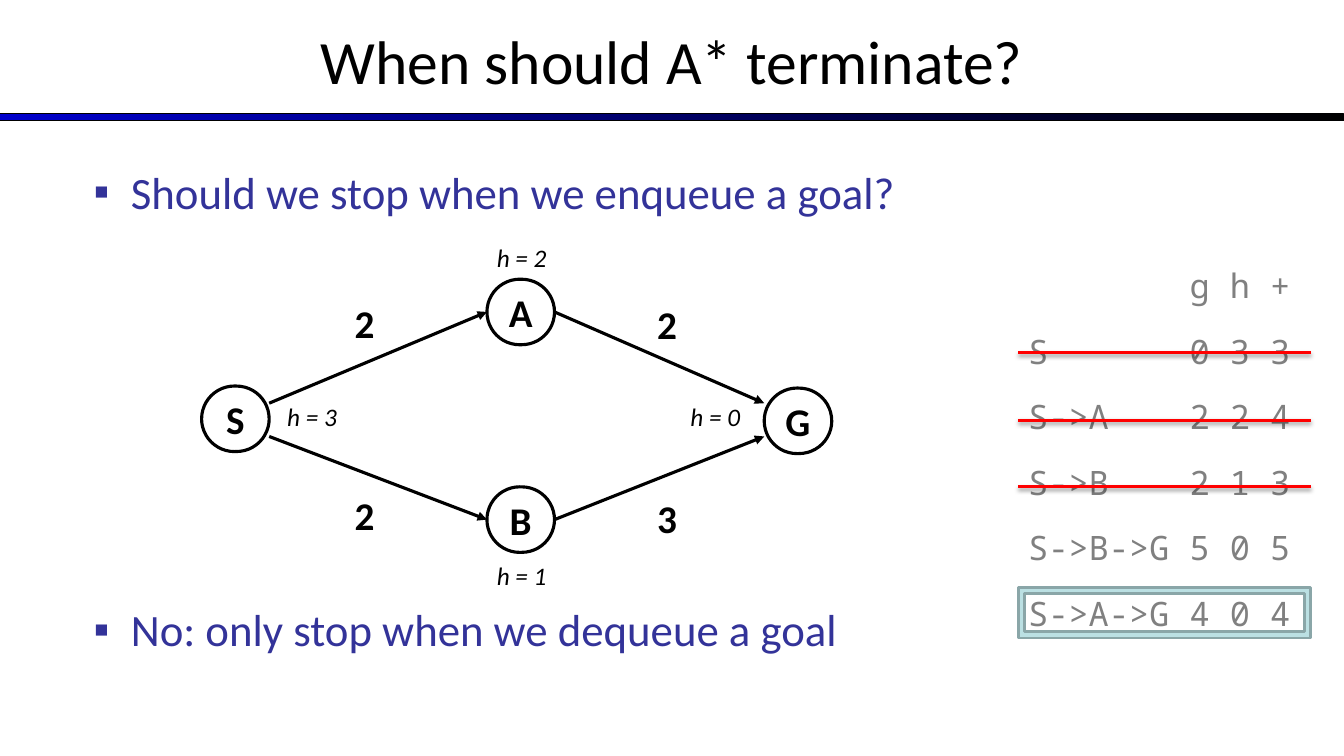
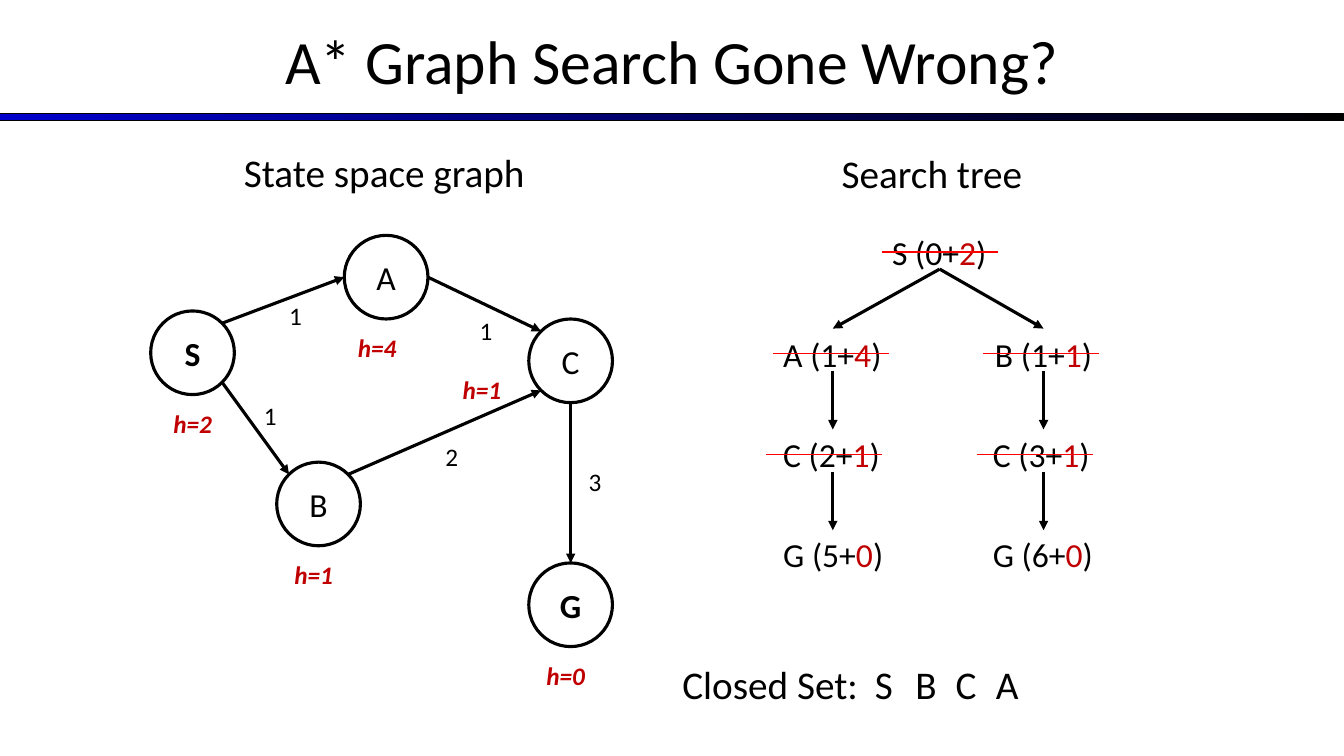
from math import hypot

from lxml import etree
from pptx import Presentation
from pptx.dml.color import RGBColor
from pptx.enum.shapes import MSO_CONNECTOR, MSO_SHAPE
from pptx.enum.text import MSO_ANCHOR as ANCHOR, PP_ALIGN as ALIGN
from pptx.oxml.ns import qn
from pptx.util import Inches, Pt

# Shared style
BLACK, WHITE, RED, DARK_RED = "000000", "FFFFFF", "FF0000", "C00000"
INDIGO, GREY, BAND_BLUE = "333399", "808080", "0000CC"
PALE_TEAL, TEAL_LINE = "BBE0E3", "8AA6A8"
FONT, MONO = "Calibri", "Noto Sans Mono"
SLIDE_WIDTH, SLIDE_HEIGHT = 13.33, 7.5
LINE = 2.25
RIGHT, LEFT = 3, 1  # connection sites


def color(value):
    return RGBColor.from_string(value)


def add_xml(parent, tag, **attributes):
    return etree.SubElement(parent, qn(tag), attributes)


# Text
def style(font, size, ink=BLACK, name=FONT, bold=False, italic=False):
    font.name, font.size, font.bold, font.italic = name, Pt(size), bold, italic
    font.color.rgb = color(ink)


def add_text(slide, left, top, width, height, text, size, **look):
    box = slide.shapes.add_textbox(Inches(left), Inches(top), Inches(width), Inches(height))
    frame = box.text_frame
    frame.word_wrap = True
    frame.text = text
    for paragraph in frame.paragraphs:
        for run in paragraph.runs:
            style(run.font, size, **look)
    return frame


def add_bullets(slide, left, top, width, height, items, gap):
    frame = add_text(slide, left, top, width, height, "\n".join(items), 32, ink=INDIGO)
    for index, paragraph in enumerate(frame.paragraphs):
        properties = paragraph._p.get_or_add_pPr()
        properties.set("marL", str(Inches(0.37)))
        properties.set("indent", str(-Inches(0.37)))
        bullet_color = add_xml(properties, "a:buClr")
        add_xml(bullet_color, "a:srgbClr", val=INDIGO)
        add_xml(properties, "a:buFont", typeface="Arial")
        add_xml(properties, "a:buChar", char="▪")
        if index:
            paragraph.space_before = Pt(gap)


def add_queue_row(slide, left, top, cells):
    frame = add_text(slide, left, top, 2.9, 0.5, "\t".join(cells), 24, ink=GREY, name=MONO)
    tabs = add_xml(frame.paragraphs[0]._p.get_or_add_pPr(), "a:tabLst")
    for position in (1.6, 2.0, 2.4):
        add_xml(tabs, "a:tab", pos=str(Inches(position)), algn="l")


def add_tree_label(slide, left, top, name, cost, heuristic):
    frame = add_text(slide, left, top, 1.3, 0.5, f"{name} ({cost}+", 24)
    for text, ink in ((heuristic, DARK_RED), (")", BLACK)):
        run = frame.paragraphs[0].add_run()
        run.text = text
        style(run.font, 24, ink)


# Shapes and lines
def add_shape(slide, kind, left, top, width, height, fill=None, line=BLACK, weight=LINE):
    shape = slide.shapes.add_shape(kind, Inches(left), Inches(top), Inches(width), Inches(height))
    shape.shadow.inherit = False
    if fill:
        shape.fill.solid()
        shape.fill.fore_color.rgb = color(fill)
    else:
        shape.fill.background()
    shape.line.color.rgb = color(line)
    shape.line.width = Pt(weight)
    return shape


def add_node(slide, kind, left, top, width, height, text, size, bold, fill=None):
    shape = add_shape(slide, kind, left, top, width, height, fill)
    frame = shape.text_frame
    frame.word_wrap = False
    frame.vertical_anchor = ANCHOR.MIDDLE
    frame.text = text
    paragraph = frame.paragraphs[0]
    paragraph.alignment = ALIGN.CENTER
    style(paragraph.runs[0].font, size, bold=bold)
    return shape


def add_line(slide, start, end, ink=BLACK, weight=LINE, arrow=False, shadow=False):
    points = [Inches(value) for value in (*start, *end)]
    connector = slide.shapes.add_connector(MSO_CONNECTOR.STRAIGHT, *points)
    connector.line.color.rgb = color(ink)
    connector.line.width = Pt(weight)
    if arrow:
        add_xml(connector.line._get_or_add_ln(), "a:tailEnd", type="triangle")
    effects = add_xml(connector._element.spPr, "a:effectLst")
    if shadow:
        outer = add_xml(effects, "a:outerShdw", blurRad=str(Pt(3.1)), dist=str(Pt(1.6)),
                        dir="5400000", rotWithShape="0")
        add_xml(add_xml(outer, "a:srgbClr", val=BLACK), "a:alpha", val="38000")
    return connector


def rim_point(center, radius, direction):
    length = hypot(*direction)
    return tuple(c + radius * d / length for c, d in zip(center, direction))


# Slide frame: title and gradient band
def add_titled_slide(presentation, title):
    slide = presentation.slides.add_slide(presentation.slide_layouts[6])
    band = add_shape(slide, MSO_SHAPE.RECTANGLE, 0, 1.13, SLIDE_WIDTH, 0.07, weight=0.75)
    band.fill.gradient()
    band.fill.gradient_angle = 0
    for stop, ink in zip(band.fill.gradient_stops, (BAND_BLUE, BLACK)):
        stop.color.rgb = color(ink)
    frame = add_text(slide, 0, -0.03, SLIDE_WIDTH, 1.25, title, 44)
    frame.vertical_anchor = ANCHOR.MIDDLE
    frame.paragraphs[0].alignment = ALIGN.CENTER
    return slide


def build_termination_slide(presentation):
    slide = add_titled_slide(presentation, "When should A* terminate?")
    add_bullets(slide, 0.83, 1.58, 8.33, 4.95,
                ["Should we stop when we enqueue a goal?",
                 "No: only stop when we dequeue a goal"], gap=274)

    # Graph
    nodes = {}
    for name, left, top in (("S", 2, 3.83), ("A", 4.83, 2.77),
                            ("B", 4.83, 4.83), ("G", 7.58, 3.85)):
        nodes[name] = add_node(slide, MSO_SHAPE.ROUNDED_RECTANGLE, left, top, 0.67, 0.65,
                               name, 28, True)
        nodes[name].adjustments[0] = 0.5
    for name, middle, side in (("A", 3.1, 4), ("B", 5.15, 4.33)):
        incoming = add_line(slide, (2.67, side), (4.83, middle), arrow=True)
        incoming.end_connect(nodes[name], LEFT)
        outgoing = add_line(slide, (5.5, middle), (7.58, side), arrow=True)
        outgoing.begin_connect(nodes[name], RIGHT)
    for cost, left, top in (("2", 3.42, 2.92), ("2", 6.42, 2.93),
                            ("2", 3.42, 4.83), ("3", 6.42, 4.85)):
        add_text(slide, left, top, 0.5, 0.57, cost, 28, bold=True)
    for value, left, top in ((1, 4.83, 5.51), (2, 4.83, 2.35), (0, 6.75, 3.93), (3, 2.75, 3.93)):
        add_text(slide, left, top, 1, 0.4, f"h = {value}", 18, italic=True)

    # Queue
    left, top, pitch = 10.1, 2.58, 0.65
    rows = [("", "g", "h", "+"), ("S", "0", "3", "3"), ("S->A", "2", "2", "4"),
            ("S->B", "2", "1", "3"), ("S->B->G", "5", "0", "5"), ("S->A->G", "4", "0", "4")]
    for index, cells in enumerate(rows):
        add_queue_row(slide, left, top + pitch * index, cells)
    for y in (3.5, 4.17, 4.83):
        add_line(slide, (left, y), (left + 2.9, y), RED, 2, shadow=True)
    add_shape(slide, MSO_SHAPE.FRAME, left, top + pitch * 5, 2.9, 0.5, PALE_TEAL, TEAL_LINE, 2)


def build_graph_search_slide(presentation):
    slide = add_titled_slide(presentation, "A* Graph Search Gone Wrong?")
    add_text(slide, 2.32, 1.42, 3.1, 0.57, "State space graph", 28)
    add_text(slide, 8.25, 1.43, 2.1, 0.57, "Search tree", 28)

    # State space graph
    diameter = 0.83
    radius = diameter / 2
    centers = {"S": (1.91, 3.5), "A": (3.83, 2.75), "B": (3.16, 5),
               "C": (5.66, 3.58), "G": (5.66, 6)}
    for name, (x, y) in centers.items():
        add_node(slide, MSO_SHAPE.OVAL, x - radius, y - radius, diameter, diameter,
                 name, 24, name in "SG", WHITE)
    # start, leaving direction, end, arriving side, cost, label position
    edges = [("S", (1, -1), "A", (-1, 0), "1", (2.77, 2.93)),
             ("S", (1, 1), "B", (-1, -1), "1", (2.52, 3.92)),
             ("B", (1, -1), "C", (-1, 1), "2", (4.32, 4.33)),
             ("A", (1, 0), "C", (-1, -1), "1", (4.66, 3.08)),
             ("C", (0, 1), "G", (0, -1), "3", (5.74, 4.58))]
    for start, leaving, end, arriving, cost, (left, top) in edges:
        add_line(slide, rim_point(centers[start], radius, leaving),
                 rim_point(centers[end], radius, arriving), arrow=True)
        add_text(slide, left, top, 0.4, 0.4, cost, 18)
    for value, left, top in ((2, 1.62, 4), (1, 2.82, 5.5), (4, 3.45, 3.25),
                             (1, 4.49, 3.66), (0, 5.32, 6.5)):
        add_text(slide, left, top, 0.75, 0.4, f"h={value}", 18,
                 ink=DARK_RED, bold=True, italic=True)

    # Search tree: left, top, label parts, left end of the strike
    tree = [(8.75, 2.25, "S02", 8.75),
            (7.67, 3.26, "A14", 7.67), (9.77, 3.26, "B11", 9.75),
            (7.67, 4.26, "C21", 7.6), (9.75, 4.26, "C31", 9.69),
            (7.67, 5.25, "G50", None), (9.75, 5.25, "G60", None)]
    for left, top, parts, _ in tree:
        add_tree_label(slide, left, top, *parts)
    for x in (8.26, 10.35):
        add_line(slide, (9.32, 2.67), (x, 3.26), arrow=True)
        for top in (3.26, 4.26):
            add_line(slide, (x, top + 0.42), (x, top + 1), arrow=True)
    for _, top, _, strike in tree:
        if strike:
            add_line(slide, (strike, top + 0.25), (strike + 1.15, top + 0.25), RED, 0.75)

    # Closed set
    add_text(slide, 6.67, 6.5, 2.1, 0.57, "Closed Set:", 28)
    for index, name in enumerate("SBCA"):
        add_text(slide, 8.58 + 0.4 * index, 6.5, 0.5, 0.57, name, 28)


def main():
    presentation = Presentation()
    presentation.slide_width = Inches(SLIDE_WIDTH)
    presentation.slide_height = Inches(SLIDE_HEIGHT)
    build_termination_slide(presentation)
    build_graph_search_slide(presentation)
    presentation.save("out.pptx")


if __name__ == "__main__":
    main()
